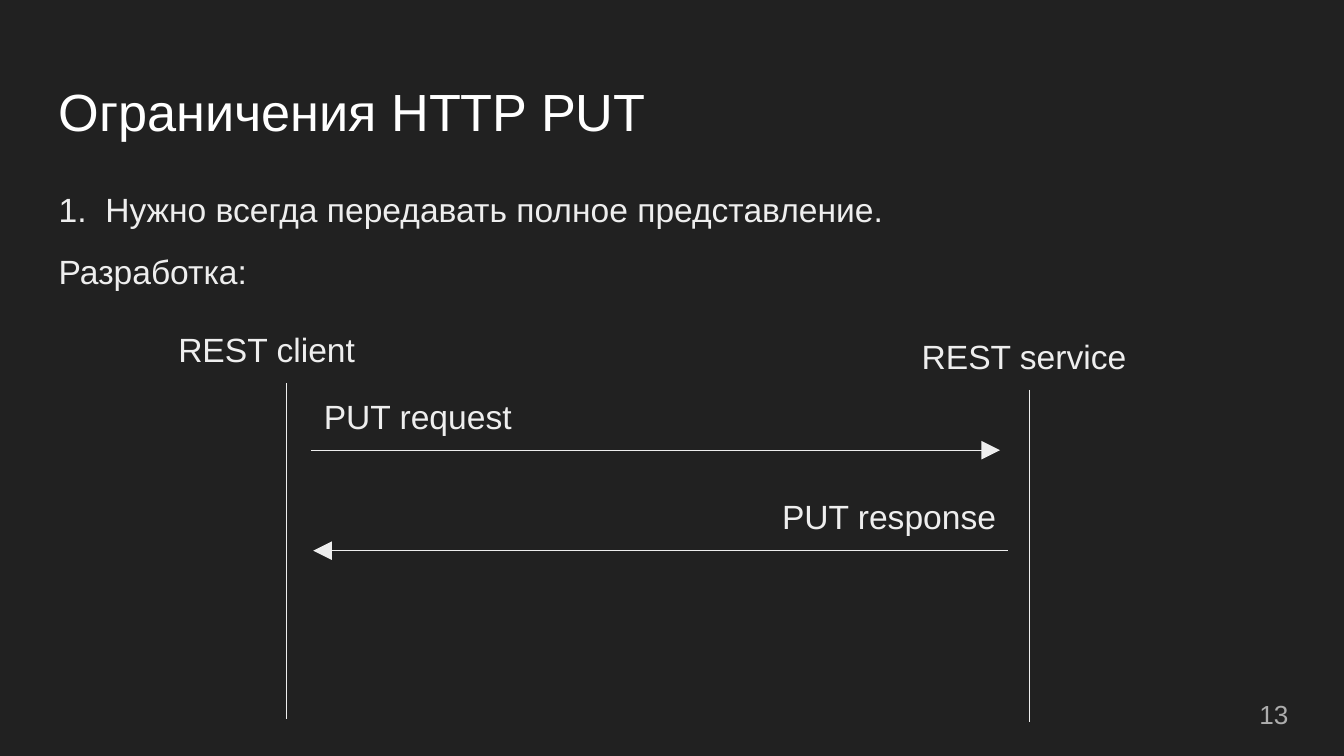
from dataclasses import dataclass

from lxml import etree
from pptx import Presentation
from pptx.dml.color import RGBColor
from pptx.enum.shapes import MSO_CONNECTOR
from pptx.enum.text import MSO_ANCHOR
from pptx.oxml.ns import qn
from pptx.slide import Slide
from pptx.util import Cm, Pt

STRAIGHT = MSO_CONNECTOR.STRAIGHT
TOP = MSO_ANCHOR.TOP
MIDDLE = MSO_ANCHOR.MIDDLE

DARK = RGBColor(0x21, 0x21, 0x21)
WHITE = RGBColor(0xFF, 0xFF, 0xFF)
LIGHT = RGBColor(0xEE, 0xEE, 0xEE)
GREY = RGBColor(0xAD, 0xAD, 0xAD)
FONT = "Arial"
INSET = Cm(0.25)
LEFT = 0.86
WIDE = 23.67


@dataclass
class Label:
    text: str
    left: float
    top: float
    width: float = 4.57
    height: float = 1.3
    size: int = 18
    color: RGBColor = LIGHT
    anchor: MSO_ANCHOR = TOP
    spacing: float = 1.0
    after: int = 0


@dataclass
class Line:
    x1: float
    y1: float
    x2: float
    y2: float
    arrow: bool = False


LABELS = [
    Label("Ограничения HTTP PUT", LEFT, 1.24, WIDE, 1.6, 28, WHITE),
    Label("1.  Нужно всегда передавать полное представление.", LEFT, 3.2,
          WIDE, 1.5, spacing=1.15, after=16),
    Label("13", 23.55, 12.95, 1.52, 1.09, 14, GREY, MIDDLE),
    Label("Разработка:", LEFT, 4.5),
    Label("REST client", 3.12, 5.97),
    Label("REST service", 17.17, 6.1),
    Label("PUT request", 5.87, 7.24),
    Label("PUT response", 14.53, 9.12, 4.75),
]

LINES = [
    Line(5.41, 7.24, 5.41, 13.59),
    Line(19.46, 7.37, 19.46, 13.64),
    Line(5.92, 10.41, 19.05, 10.41, True),
    Line(18.9, 8.51, 5.87, 8.51, True),
]


def draw_label(slide: Slide, label: Label) -> None:
    box = slide.shapes.add_textbox(
        Cm(label.left), Cm(label.top), Cm(label.width), Cm(label.height))
    frame = box.text_frame
    frame.word_wrap = True
    frame.vertical_anchor = label.anchor
    frame.margin_left = frame.margin_right = INSET
    frame.margin_top = frame.margin_bottom = INSET
    para = frame.paragraphs[0]
    para.text = label.text
    para.line_spacing = label.spacing
    para.space_after = Pt(label.after)
    para.font.name = FONT
    para.font.size = Pt(label.size)
    para.font.color.rgb = label.color


def draw_line(slide: Slide, line: Line) -> None:
    link = slide.shapes.add_connector(
        STRAIGHT, Cm(line.x1), Cm(line.y1), Cm(line.x2), Cm(line.y2))
    link.line.color.rgb = LIGHT
    link.line.width = Pt(0.75)
    if line.arrow:
        etree.SubElement(link.line._get_or_add_ln(), qn("a:headEnd"),
                         type="triangle", w="lg", len="lg")
    etree.SubElement(link._element.spPr, qn("a:effectLst"))


def main() -> None:
    deck = Presentation()
    deck.slide_width = Cm(25.4)
    deck.slide_height = Cm(14.29)
    slide = deck.slides.add_slide(deck.slide_layouts[6])
    fill = slide.background.fill
    fill.solid()
    fill.fore_color.rgb = DARK
    for label in LABELS:
        draw_label(slide, label)
    for line in LINES:
        draw_line(slide, line)
    deck.save("out.pptx")


if __name__ == "__main__":
    main()
